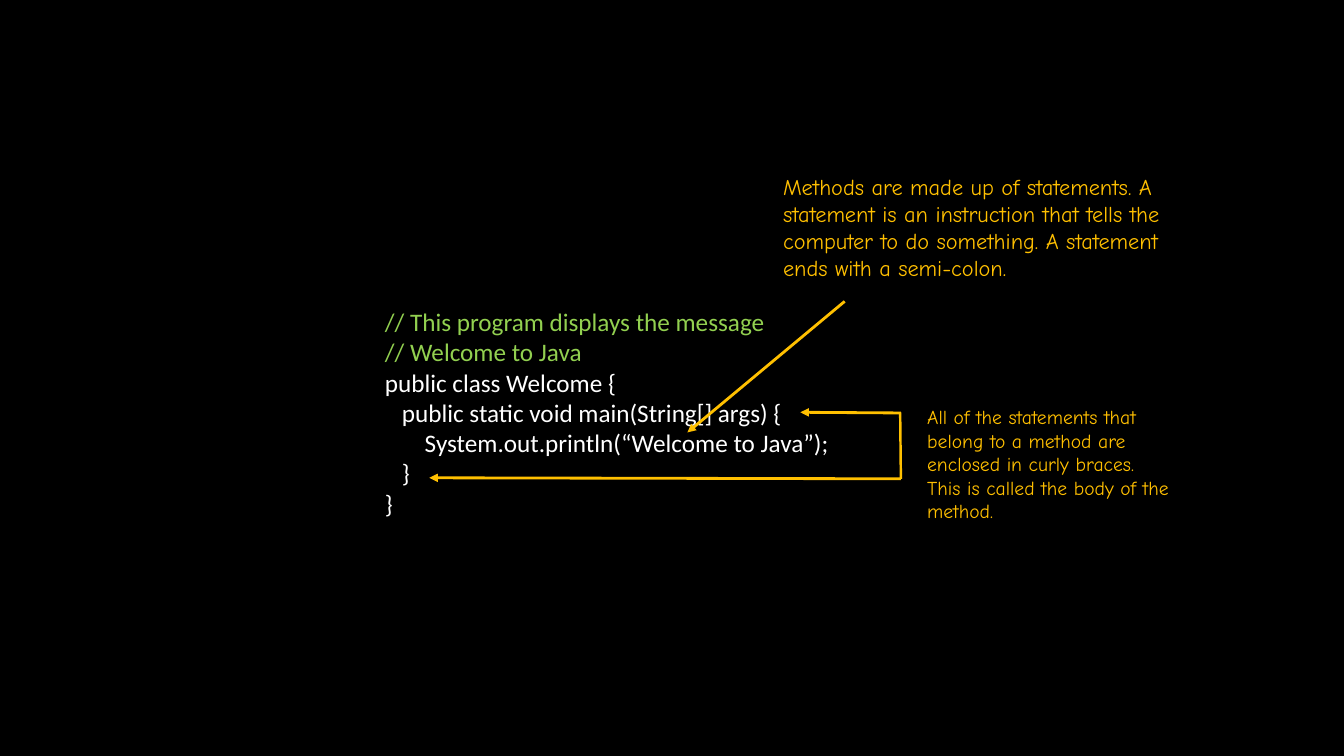
from dataclasses import dataclass

from lxml.etree import SubElement
from pptx import Presentation
from pptx.dml.color import RGBColor as RGB
from pptx.enum.shapes import MSO_CONNECTOR as Conn
from pptx.enum.text import MSO_AUTO_SIZE as AutoSize
from pptx.oxml.ns import qn
from pptx.slide import Slide
from pptx.util import Pt

COLORS = {
    "background": "000000",
    "comment": "92D050",
    "code": "FFFFFF",
    "note": "FFC000",
}


@dataclass
class Line:
    text: str
    color: str = "note"
    indent: float = 0


@dataclass
class TextBlock:
    left: float
    top: float
    width: float
    height: float
    font: str
    size: float
    wrap: bool
    lines: list[Line]


@dataclass
class Pointer:
    start: tuple[float, float]
    end: tuple[float, float]
    weight: float = 2
    arrow: bool = True


CODE = TextBlock(267.84, 215.28, 335.52, 159.84, "Calibri", 18, False, [
    Line("// This program displays the message", "comment"),
    Line("// Welcome to Java", "comment"),
    Line("public class Welcome {", "code"),
    Line("public static void main(String[] args) {", "code", 12.2),
    Line("System.out.println(“Welcome to Java”);", "code", 28.5),
    Line("}", "code", 12.2),
    Line("}", "code"),
])
STATEMENT_NOTE = TextBlock(552.24, 120.24, 324, 84.96, "Comic Neue", 16, False, [
    Line("Methods are made up of statements. A"),
    Line("statement is an instruction that tells the"),
    Line("computer to do something. A statement"),
    Line("ends with a semi-colon."),
])
BODY_NOTE = TextBlock(655.2, 285.84, 211.68, 92.16, "Comic Neue", 14, True, [
    Line("All of the statements that"),
    Line("belong to a method are enclosed in curly braces."),
    Line("This is called the body of the method."),
])
POINTERS = [
    Pointer((603.36, 215.28), (491.04, 308.88)),
    Pointer((643, 294.5), (643.5, 342), 1.75, False),
    Pointer((643.5, 295), (571.7, 294.5)),
    Pointer((643.5, 342), (306.7, 341.3)),
]


def draw_text(s: Slide, block: TextBlock) -> None:
    box = s.shapes.add_textbox(
        Pt(block.left), Pt(block.top), Pt(block.width), Pt(block.height))
    tf = box.text_frame
    frame_format = {"word_wrap": block.wrap,
                    "auto_size": AutoSize.SHAPE_TO_FIT_TEXT}
    for name, value in frame_format.items():
        setattr(tf, name, value)
    font_format = {"name": block.font, "size": Pt(block.size)}
    for i, line in enumerate(block.lines):
        p = tf.add_paragraph() if i else tf.paragraphs[0]
        if line.indent:
            p._p.get_or_add_pPr().set("marL", str(Pt(line.indent)))
        r = p.add_run()
        r.text = line.text
        for name, value in font_format.items():
            setattr(r.font, name, value)
        r.font.color.rgb = RGB.from_string(COLORS[line.color])


def draw_pointer(s: Slide, pointer: Pointer) -> None:
    points = [Pt(v) for v in (*pointer.start, *pointer.end)]
    c = s.shapes.add_connector(Conn.STRAIGHT, *points)
    c.line.width = Pt(pointer.weight)
    c.line.color.rgb = RGB.from_string(COLORS["note"])
    if pointer.arrow:
        SubElement(c.line._get_or_add_ln(), qn("a:tailEnd"), type="triangle")
    SubElement(c._element.spPr, qn("a:effectLst"))


def main() -> None:
    prs = Presentation()
    prs.slide_width, prs.slide_height = Pt(960), Pt(540)
    s = prs.slides.add_slide(prs.slide_layouts[6])
    fill = s.background.fill
    fill.solid()
    fill.fore_color.rgb = RGB.from_string(COLORS["background"])
    for block in (CODE, STATEMENT_NOTE, BODY_NOTE):
        draw_text(s, block)
    for pointer in POINTERS:
        draw_pointer(s, pointer)
    prs.save("out.pptx")


if __name__ == "__main__":
    main()
